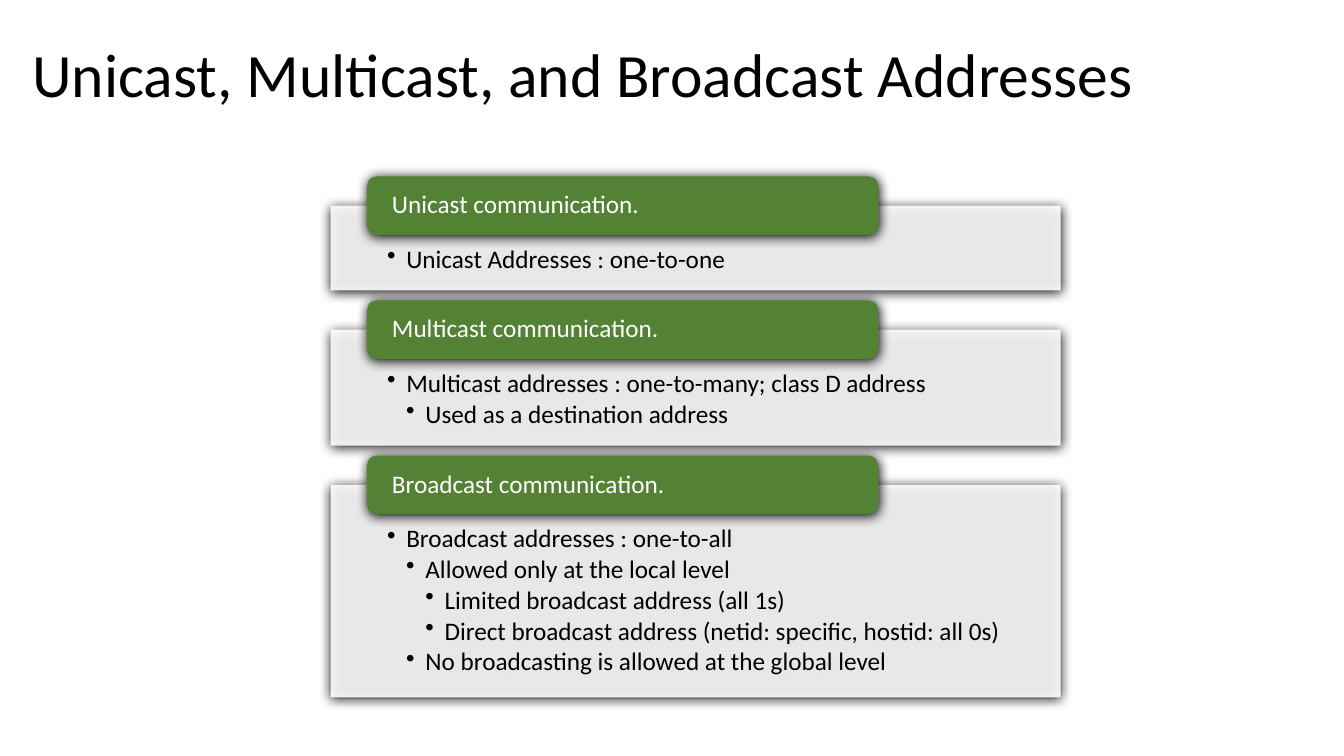
"""Build a slide on unicast, multicast and broadcast addresses."""
from lxml import etree
from pptx import Presentation
from pptx import util as u
from pptx.dml.color import RGBColor
from pptx.enum import shapes, text
from pptx.oxml import ns

BLACK = RGBColor(0x00, 0x00, 0x00)
WHITE = RGBColor(0xFF, 0xFF, 0xFF)
GREEN = RGBColor(0x54, 0x82, 0x35)

EMU_PER_PX = 9144
PANEL_LEFT, PANEL_WIDTH, PANEL_GAP = 328, 724, 39
HEADING_LEFT, HEADING_WIDTH, HEADING_HEIGHT, HEADING_RISE = 364, 507, 58, 29
FIRST_PANEL_TOP = 204
BULLET_INDENT = 19

SECTIONS = [
    ("Unicast communication.", 84, [
        (1, "Unicast Addresses : one-to-one"),
    ]),
    ("Multicast communication.", 115, [
        (1, "Multicast addresses : one-to-many; class D address"),
        (2, "Used as a destination address"),
    ]),
    ("Broadcast communication.", 211, [
        (1, "Broadcast addresses : one-to-all"),
        (2, "Allowed only at the local level"),
        (3, "Limited broadcast address (all 1s)"),
        (3, "Direct broadcast address (netid: specific, hostid: all 0s)"),
        (2, "No broadcasting is allowed at the global level"),
    ]),
]


def px(length):
    """Turn a length in px into EMU."""
    return u.Emu(length * EMU_PER_PX)


def add_element(parent, tag, **attributes):
    """Append a DrawingML element to its parent."""
    return etree.SubElement(parent, ns.qn(tag), attributes)


def set_frame(frame, anchor, margins):
    """Set wrapping, anchor and the left, top, right and bottom margins."""
    frame.word_wrap = True
    frame.vertical_anchor = anchor
    (frame.margin_left, frame.margin_top,
     frame.margin_right, frame.margin_bottom) = map(px, margins)


def write(paragraph, wording, size=18, color=BLACK, level=0, space_after=0):
    """Write one formatted paragraph, bulleted when it has a level."""
    paragraph.text = wording
    paragraph.alignment = text.PP_ALIGN.LEFT
    paragraph.line_spacing = 0.9
    paragraph.space_after = u.Pt(space_after)
    if level:
        paragraph.level = level
        properties = paragraph._p.get_or_add_pPr()
        properties.set("marL", str(px(level * BULLET_INDENT)))
        properties.set("indent", str(px(-BULLET_INDENT)))
        add_element(properties, "a:buChar", char="•")
    paragraph.font.name = "Calibri"
    paragraph.font.size = u.Pt(size)
    paragraph.font.color.rgb = color


def add_block(slide, preset, box, color):
    """Add a borderless filled block with a soft shadow."""
    block = slide.shapes.add_shape(preset, *map(px, box))
    block.fill.solid()
    block.fill.fore_color.rgb = color
    block.line.fill.background()
    block.shadow.inherit = False
    effects = block._element.spPr.find(ns.qn("a:effectLst"))
    shadow = add_element(effects, "a:outerShdw", blurRad=str(u.Pt(8.5)),
                         dist=str(u.Pt(1)), dir="5400000", rotWithShape="0")
    add_element(shadow, "a:srgbClr", val=str(BLACK))
    return block


def add_panel(slide, top, height, points):
    """Add a translucent panel holding bulleted points."""
    panel = add_block(slide, shapes.MSO_SHAPE.RECTANGLE,
                      (PANEL_LEFT, top, PANEL_WIDTH, height), WHITE)
    fill_color = panel._element.spPr.find(ns.qn("a:solidFill"))[0]
    add_element(fill_color, "a:alpha", val="90000")
    frame = panel.text_frame
    set_frame(frame, text.MSO_ANCHOR.TOP, (56, 41, 56, 14))
    for index, (level, wording) in enumerate(points):
        paragraph = frame.add_paragraph() if index else frame.paragraphs[0]
        write(paragraph, wording, level=level, space_after=2.5)


def add_heading(slide, panel_top, wording):
    """Add the green heading that overlaps the top of a panel."""
    heading = add_block(
        slide, shapes.MSO_SHAPE.ROUNDED_RECTANGLE,
        (HEADING_LEFT, panel_top - HEADING_RISE, HEADING_WIDTH, HEADING_HEIGHT),
        GREEN)
    set_frame(heading.text_frame, text.MSO_ANCHOR.MIDDLE, (22, 0, 22, 0))
    write(heading.text_frame.paragraphs[0], wording, color=WHITE)


def add_title(slide, wording):
    """Place and format the title."""
    title = slide.shapes.title
    title.left, title.top, title.width, title.height = map(
        px, (22, 30, 1289, 85))
    set_frame(title.text_frame, text.MSO_ANCHOR.BOTTOM, (10, 5, 10, 5))
    write(title.text_frame.paragraphs[0], wording, size=44)


def main():
    """Build and save the slide."""
    deck = Presentation()
    deck.slide_width, deck.slide_height = px(1333), px(750)
    slide = deck.slides.add_slide(deck.slide_layouts[5])
    add_title(slide, "Unicast, Multicast, and Broadcast Addresses")
    top = FIRST_PANEL_TOP
    for heading, height, points in SECTIONS:
        add_panel(slide, top, height, points)
        add_heading(slide, top, heading)
        top += height + PANEL_GAP
    deck.save("out.pptx")


if __name__ == "__main__":
    main()
